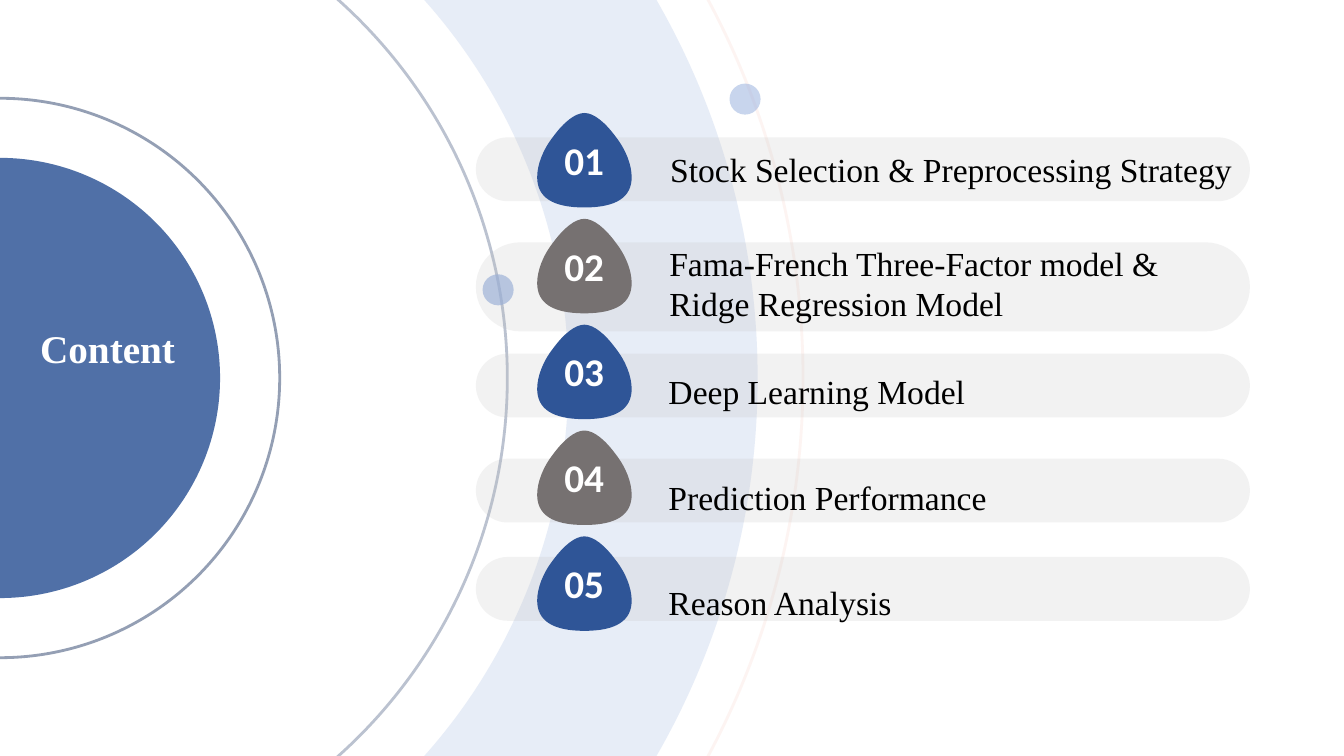
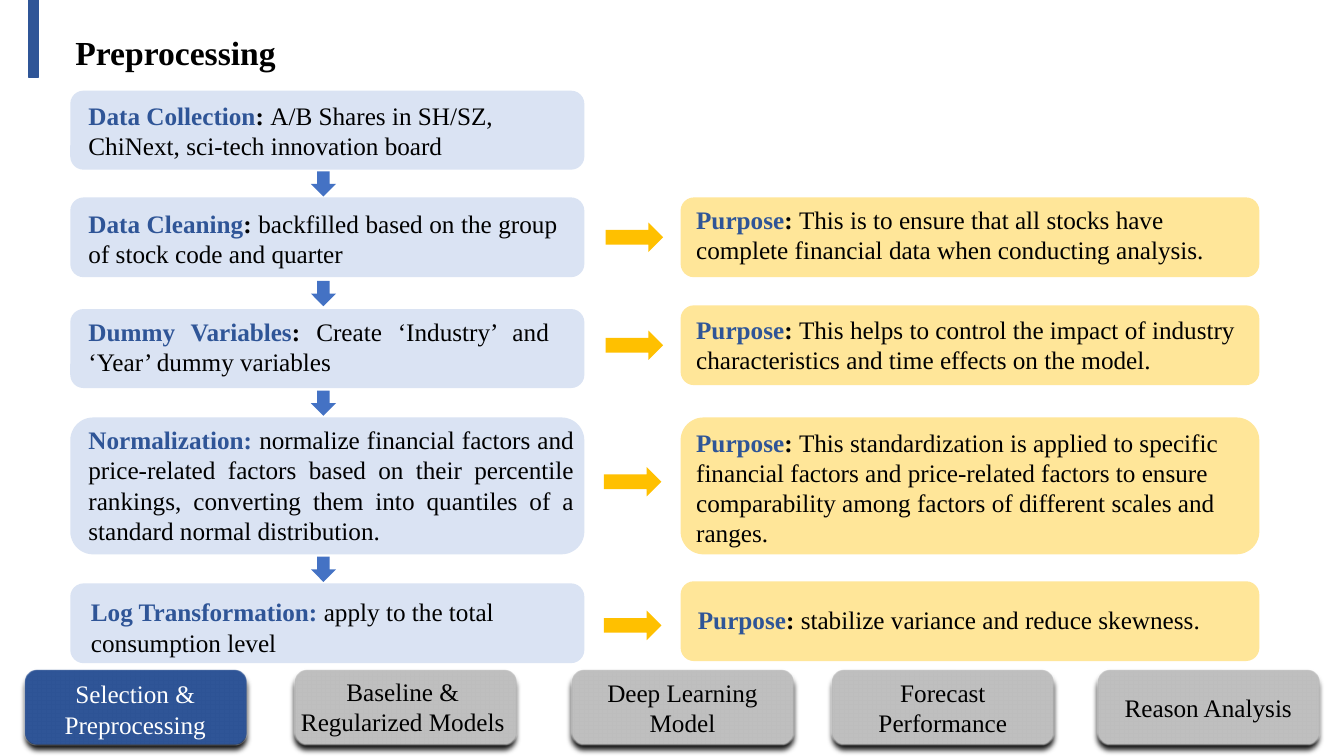
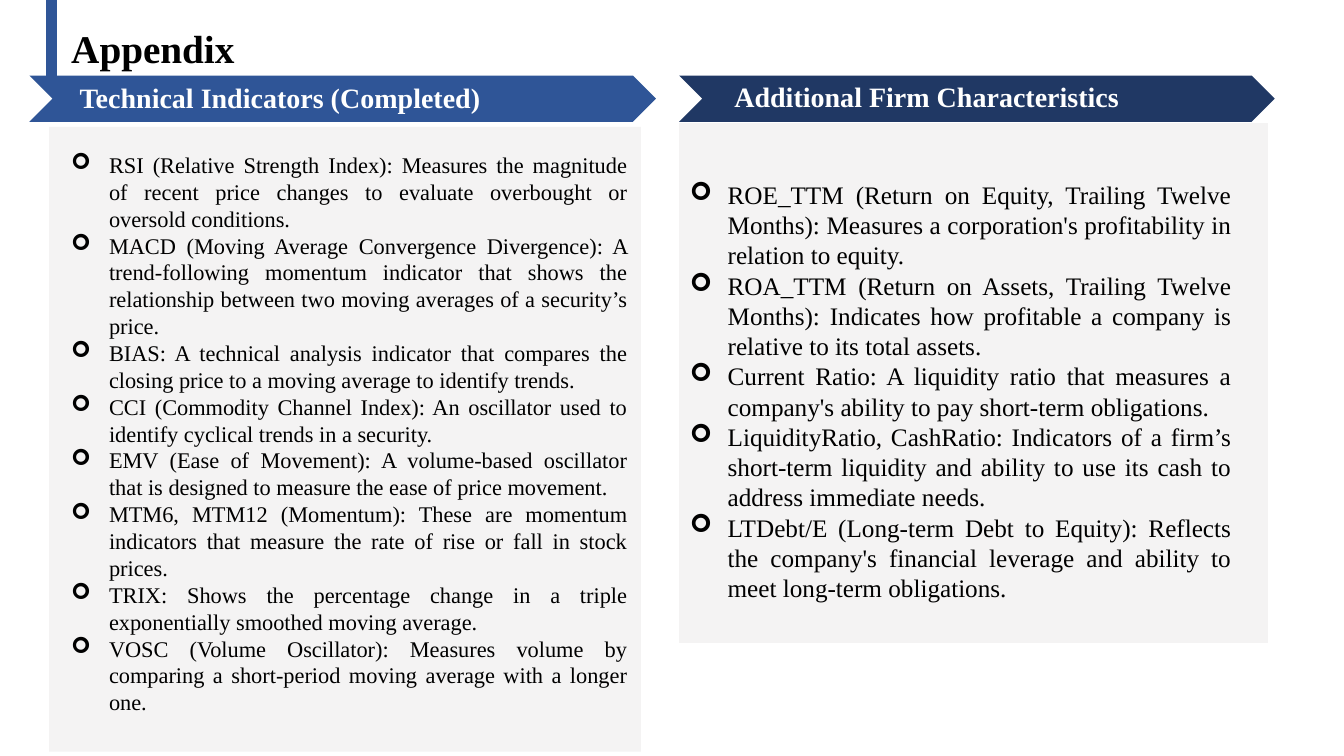
from dataclasses import dataclass

from lxml.etree import SubElement
from pptx import Presentation
from pptx.dml.color import RGBColor
from pptx.enum.shapes import MSO_SHAPE as SHAPE
from pptx.enum.text import MSO_ANCHOR as ANCHOR, MSO_AUTO_SIZE as AUTO, PP_ALIGN as ALIGN
from pptx.oxml.ns import qn
from pptx.util import Emu, Pt

# The slide is a grid of 160 columns by 90 rows; every length is in its square cells.
COLS, ROWS = 160, 90
CELL = 76200


@dataclass(frozen=True)
class Theme:
    font: str = "Times New Roman"
    number_font: str = "Calibri"
    bullet_font: str = "Wingdings"
    black: str = "000000"
    white: str = "FFFFFF"
    blue: str = "2F5597"
    navy: str = "203864"
    sky: str = "8FAADC"
    arrow_blue: str = "4472C4"
    pale_blue: str = "DAE3F3"
    gold: str = "FFC000"
    pale_gold: str = "FFE699"
    coral: str = "E67A5E"
    gray: str = "767171"
    silver: str = "BFBFBF"
    panel: str = "E7E6E6"
    large: int = 28
    title: int = 24
    band: int = 20
    body: int = 18
    small: int = 16


T = Theme()


def cells(n):
    return Emu(round(n * CELL))


def rgb(color):
    return RGBColor.from_string(color)


def set_alpha(sp, query, percent):
    for color in sp.element.spPr.xpath(query):
        SubElement(color, qn("a:alpha"), val=str(percent * 1000))


def paint(sp, fill=None, line=None, width=1, alpha=100):
    """Set fill and outline; alpha is the opacity in percent of both."""
    sp.shadow.inherit = False
    if fill:
        sp.fill.solid()
        sp.fill.fore_color.rgb = rgb(fill)
    else:
        sp.fill.background()
    if line:
        sp.line.color.rgb = rgb(line)
        sp.line.width = Pt(width)
    else:
        sp.line.fill.background()
    if alpha < 100:
        set_alpha(sp, "a:solidFill/* | a:ln/a:solidFill/*", alpha)
    return sp


def shape(slide, kind, x, y, w, h, adj=None, **look):
    sp = slide.shapes.add_shape(kind, cells(x), cells(y), cells(w), cells(h))
    if adj is not None:
        sp.adjustments[0] = adj
    return paint(sp, **look)


def circle(slide, cx, cy, radius, kind=SHAPE.OVAL, **look):
    return shape(slide, kind, cx - radius, cy - radius, 2 * radius, 2 * radius, **look)


def add_run(p, text, size, color=T.black, bold=False, font=T.font):
    r = p.add_run()
    r.text = text
    r.font.size, r.font.name, r.font.bold = Pt(size), font, bold
    r.font.color.rgb = rgb(color)


def add_bullet(p):
    pPr = p._p.get_or_add_pPr()
    pPr.set("marL", "342900")
    pPr.set("indent", "-342900")
    SubElement(pPr, qn("a:buFont"), typeface=T.bullet_font)
    SubElement(pPr, qn("a:buChar"), char="➢")


def write(tf, paragraphs, align=ALIGN.LEFT, spacing=None, bullets=False, wrap=True):
    """Fill a text frame; each paragraph is a list of add_run argument dicts."""
    tf.word_wrap = wrap
    for i, runs in enumerate(paragraphs):
        p = tf.add_paragraph() if i else tf.paragraphs[0]
        p.alignment = align
        if spacing:
            p.line_spacing = spacing
        if bullets:
            add_bullet(p)
        for run in runs:
            add_run(p, **run)


def text_box(slide, x, y, w, h, paragraphs, **layout):
    sp = slide.shapes.add_textbox(cells(x), cells(y), cells(w), cells(h))
    sp.text_frame.auto_size = AUTO.SHAPE_TO_FIT_TEXT
    write(sp.text_frame, paragraphs, **layout)


def title(slide, text, bar_x, x, y, size):
    shape(slide, SHAPE.RECTANGLE, bar_x, 0, 1.1, 9.25, fill=T.blue, line=T.blue)
    text_box(slide, x, y, 80.5, 6, [[dict(text=text, size=size, bold=True)]])


# ---- Content slide

def curved_shape(slide, x, y, size, knots, **look):
    """Draw a closed outline of cubic curves; knots are shares of the size."""
    pts = [(cells(x + px * size), cells(y + py * size)) for px, py in knots]
    builder = slide.shapes.build_freeform(*pts[0])
    builder.add_line_segments(pts[3::3], close=True)
    sp = builder.convert_to_shape()
    for i, segment in enumerate(sp.element.spPr.xpath(".//a:path/a:lnTo")):
        segment.tag = qn("a:cubicBezTo")
        segment.remove(segment[0])
        for px, py in pts[3 * i + 1:3 * i + 4]:
            SubElement(segment, qn("a:pt"), x=str(px - sp.left), y=str(py - sp.top))
    return paint(sp, **look)


def drop(slide, x, y, text, fill):
    """Draw a numbered rounded triangle: its right half mirrors its left half."""
    left = [(.5, 1), (.16, 1), (0, .89), (0, .68), (0, .55), (.06, .39),
            (.17, .25), (.28, .1), (.4, 0), (.5, 0)]
    right = [(1 - px, py) for px, py in reversed(left[:-1])]
    curved_shape(slide, x, y, 11.25, left + right, fill=fill)
    text_box(slide, x + 1.16, y + 2.15, 8.9, 7.9,
             [[dict(text=text, size=T.large, color=T.white, bold=True, font=T.number_font)]],
             align=ALIGN.CENTER, wrap=False)


def content_slide(slide):
    mid = ROWS / 2
    circle(slide, 0.1, mid, 90.1, SHAPE.DONUT, adj=0.125, fill=T.sky, alpha=21)
    circle(slide, 0, mid, 26.2, fill=T.blue, alpha=84)
    for cx, radius, color, alpha in [(0, 33.3, T.navy, 48), (0, 60.4, T.navy, 30),
                                     (0.3, 95.3, T.coral, 8)]:
        circle(slide, cx, mid, radius, line=color, width=2, alpha=alpha)
    circle(slide, 59.3, 34.5, 1.85, fill=T.sky, alpha=65)
    circle(slide, 88.7, 11.8, 1.85, fill=T.sky, alpha=49)
    text_box(slide, 3.6, 38, 22.2, 6.8,
             [[dict(text="Content", size=T.large, color=T.white, bold=True)]])

    # bar top, bar height, text box, line spacing, text
    topics = [
        (16.35, 7.6, (78.6, 17.1, 71.4, 6), None, "Stock Selection & Preprocessing Strategy"),
        (28.85, 10.6, (78.5, 28.3, 65.2, 10.9), None,
         "Fama-French Three-Factor model & Ridge Regression Model"),
        (42.1, 7.6, (78.4, 41.2, 62, 7.6), 1.5, "Deep Learning Model"),
        (54.6, 7.6, (78.4, 53.8, 62, 7.6), 1.5, "Prediction Performance"),
        (66.3, 7.6, (78.4, 66.3, 62, 7.6), 1.5, "Reason Analysis"),
    ]
    for i, (y, h, box, spacing, text) in enumerate(topics):
        shape(slide, SHAPE.ROUNDED_RECTANGLE, 56.65, y, 92.15, h, adj=0.5,
              fill=T.silver, alpha=20)
        drop(slide, 63.95, 13.45 + 12.6 * i, f"{i + 1:02}", (T.blue, T.gray)[i % 2])
        text_box(slide, *box, [[dict(text=text, size=T.title)]], spacing=spacing)


# ---- Preprocessing slide

@dataclass
class Card:
    y: float
    h: float
    text_y: float
    head: str
    body: str
    text_w: float = 68.9
    align: ALIGN = ALIGN.LEFT
    lines: int = 2
    black_colon: bool = True
    shift: float = 0


def card(slide, x, w, text_x, fill, c):
    shape(slide, SHAPE.ROUNDED_RECTANGLE, x, c.y, w, c.h, fill=fill)
    head = dict(size=T.body, bold=True)
    if c.black_colon:
        runs = [dict(text=c.head, color=T.blue, **head), dict(text=": ", **head)]
    else:
        runs = [dict(text=c.head + ": ", color=T.blue, **head)]
    text_box(slide, text_x + c.shift, c.text_y, c.text_w, 1.2 + 3.63 * c.lines,
             [runs + [dict(text=c.body, size=T.body)]], align=c.align)


def tab(slide, x, fill):
    sp = shape(slide, SHAPE.ROUNDED_RECTANGLE, x, 79.7, 26.5, 9, fill=fill, line=T.white)
    effects = sp.element.spPr.find(qn("a:effectLst"))
    shadow = SubElement(effects, qn("a:outerShdw"), blurRad="50800", dist="50800",
                        dir="5400000", algn="t", rotWithShape="0")
    color = SubElement(shadow, qn("a:srgbClr"), val=T.black)
    SubElement(color, qn("a:alpha"), val="93000")
    SubElement(effects, qn("a:softEdge"), rad="12700")
    return sp


def tabs(slide):
    tab(slide, 35, T.silver)
    tab(slide, 2.9, T.blue)
    for x, text in [(68, "Deep Learning Model"), (99, "Forecast Performance"),
                    (130.6, "Reason Analysis")]:
        tf = tab(slide, x, T.silver).text_frame
        tf.vertical_anchor = ANCHOR.MIDDLE
        write(tf, [[dict(text=text, size=T.body)]], align=ALIGN.CENTER)
    text_box(slide, 2.6, 80.2, 27, 8.5,
             [[dict(text=text, size=T.body, color=T.white)]
              for text in ("Selection &", "Preprocessing")], align=ALIGN.CENTER)
    text_box(slide, 33.95, 79.95, 28, 8.5,
             [[dict(text="Baseline & Regularized Models", size=T.body)]], align=ALIGN.CENTER)


def preprocessing_slide(slide):
    title(slide, "Preprocessing", 3.45, 7.8, 3.25, T.title)
    steps = [
        Card(10.8, 9.4, 11.3, "Data Collection",
             "A/B Shares in SH/SZ, ChiNext, sci-tech innovation board", 61.2),
        Card(23.5, 9.5, 24.2, "Data Cleaning",
             "backfilled based on the group of stock code and quarter", 58.2, ALIGN.JUSTIFY),
        Card(36.8, 9.4, 37.05, "Dummy Variables",
             "Create ‘Industry’ and ‘Year’ dummy variables", 57.2, ALIGN.JUSTIFY),
        Card(49.7, 16.3, 49.95, "Normalization",
             "normalize financial factors and price-related factors based on their "
             "percentile rankings, converting them into quantiles of a standard normal "
             "distribution.", 60.2, ALIGN.JUSTIFY, 4, black_colon=False),
        Card(69.45, 9.5, 70.45, "Log Transformation",
             "apply to the total consumption level", 55.7, black_colon=False, shift=0.3),
    ]
    purposes = [
        Card(23.5, 9.5, 23.75, "Purpose", "This is to ensure that all stocks have "
             "complete financial data when conducting analysis."),
        Card(36.35, 9.5, 36.85, "Purpose", "This helps to control the impact of industry "
             "characteristics and time effects on the model."),
        Card(49.7, 16.3, 50.25, "Purpose", "This standardization is applied to specific "
             "financial factors and price-related factors to ensure comparability among "
             "factors of different scales and ranges.", lines=4),
        Card(69.2, 9.5, 71.4, "Purpose", "stabilize variance and reduce skewness.",
             67.3, lines=1, shift=0.2),
    ]
    for c in steps:
        card(slide, 8.37, 61.2, 9.35, T.pale_blue, c)
    for above, below in zip(steps, steps[1:]):
        gap_mid = (above.y + above.h + below.y) / 2
        shape(slide, SHAPE.DOWN_ARROW, 37, gap_mid - 1.45, 3, 3, fill=T.arrow_blue)
    arrows = [(72.1, 26.5), (72.1, 39.35), (71.9, 55.6), (71.9, 72.7)]
    for c, (x, y) in zip(purposes, arrows):
        card(slide, 81.03, 68.9, 81.7, T.pale_gold, c)
        shape(slide, SHAPE.RIGHT_ARROW, x, y, 6.85, 3.5, fill=T.gold)
    tabs(slide)


# ---- Appendix slide

def band(slide, x, w, text_x, text_y, text, fill):
    shape(slide, SHAPE.CHEVRON, x, 9, w, 5.5, fill=fill)
    text_box(slide, text_x, text_y, 64.8, 5.3,
             [[dict(text=text, size=T.band, color=T.white, bold=True)]])


def bullet_list(slide, panel, box, items, size):
    shape(slide, SHAPE.RECTANGLE, *panel, fill=T.panel, alpha=45)
    text_box(slide, *box, [[dict(text=item, size=size)] for item in items],
             align=ALIGN.JUSTIFY, bullets=True)


def appendix_slide(slide):
    indicators = [
        "RSI (Relative Strength Index): Measures the magnitude of recent price changes to "
        "evaluate overbought or oversold conditions.",
        "MACD (Moving Average Convergence Divergence): A trend-following momentum indicator "
        "that shows the relationship between two moving averages of a security’s price.",
        "BIAS: A technical analysis indicator that compares the closing price to a moving "
        "average to identify trends.",
        "CCI (Commodity Channel Index): An oscillator used to identify cyclical trends in a "
        "security.",
        "EMV (Ease of Movement): A volume-based oscillator that is designed to measure the "
        "ease of price movement.",
        "MTM6, MTM12 (Momentum): These are momentum indicators that measure the rate of rise "
        "or fall in stock prices.",
        "TRIX: Shows the percentage change in a triple exponentially smoothed moving average.",
        "VOSC (Volume Oscillator): Measures volume by comparing a short-period moving average "
        "with a longer one.",
    ]
    characteristics = [
        "ROE_TTM (Return on Equity, Trailing Twelve Months): Measures a corporation's "
        "profitability in relation to equity.",
        "ROA_TTM (Return on Assets, Trailing Twelve Months): Indicates how profitable a "
        "company is relative to its total assets.",
        "Current Ratio: A liquidity ratio that measures a company's ability to pay short-term "
        "obligations.",
        "LiquidityRatio, CashRatio: Indicators of a firm’s short-term liquidity and ability "
        "to use its cash to address immediate needs.",
        "LTDebt/E (Long-term Debt to Equity): Reflects the company's financial leverage and "
        "ability to meet long-term obligations.",
    ]
    bullet_list(slide, (5.85, 15.1, 70.45, 74.4), (7.3, 17.4, 68.6, 72), indicators, T.small)
    bullet_list(slide, (80.85, 14.65, 70.1, 61.9), (80.95, 20.75, 66.85, 63),
                characteristics, T.body)
    band(slide, 3.5, 74.6, 8.3, 8.95, "Technical Indicators (Completed)", T.blue)
    band(slide, 80.85, 70.9, 86.25, 8.85, "Additional Firm Characteristics", T.navy)
    title(slide, "Appendix", 5.55, 7.3, 2.25, T.large)


def main():
    prs = Presentation()
    prs.slide_width, prs.slide_height = cells(COLS), cells(ROWS)
    for build in (content_slide, preprocessing_slide, appendix_slide):
        build(prs.slides.add_slide(prs.slide_layouts[6]))
    prs.save("out.pptx")


if __name__ == "__main__":
    main()
